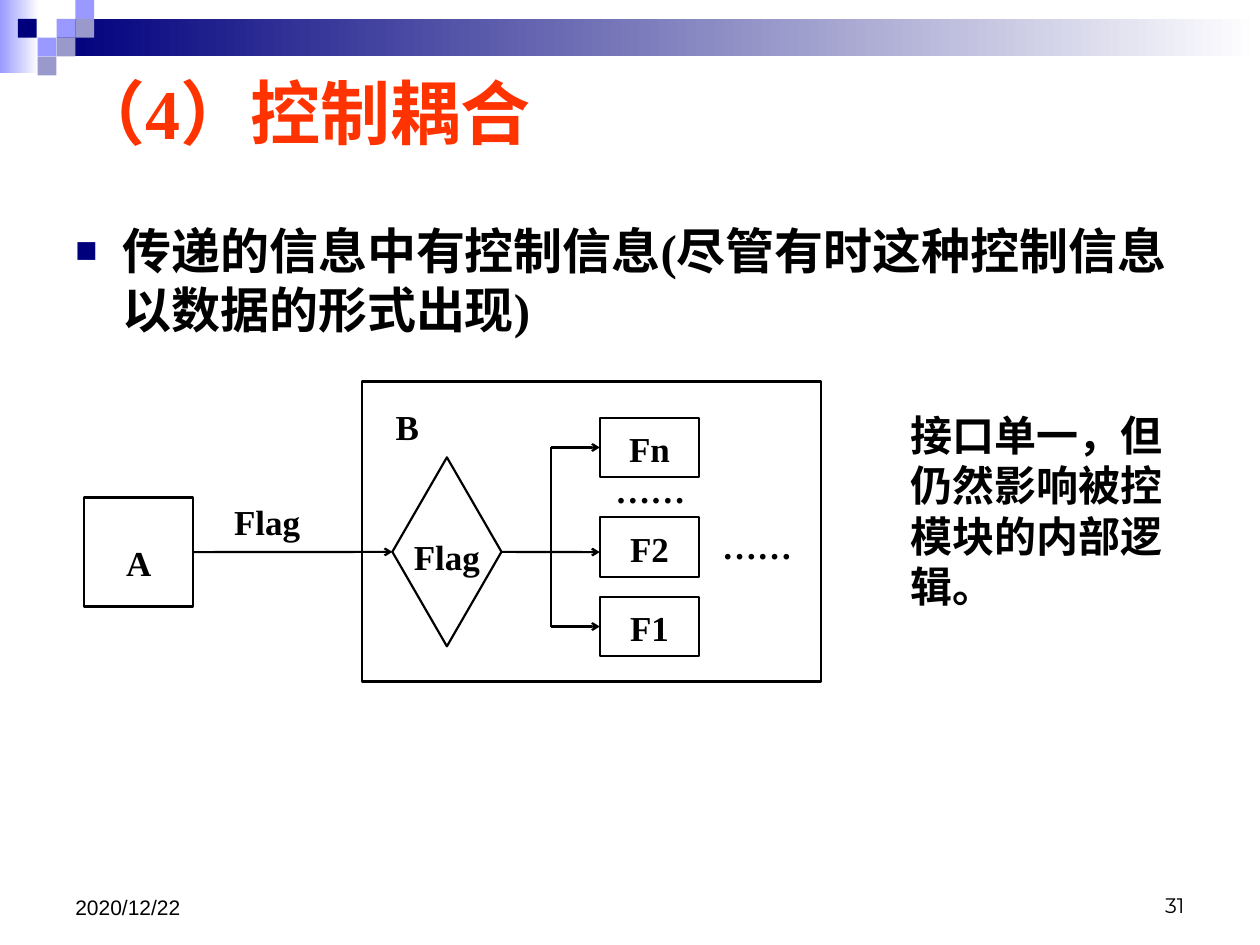
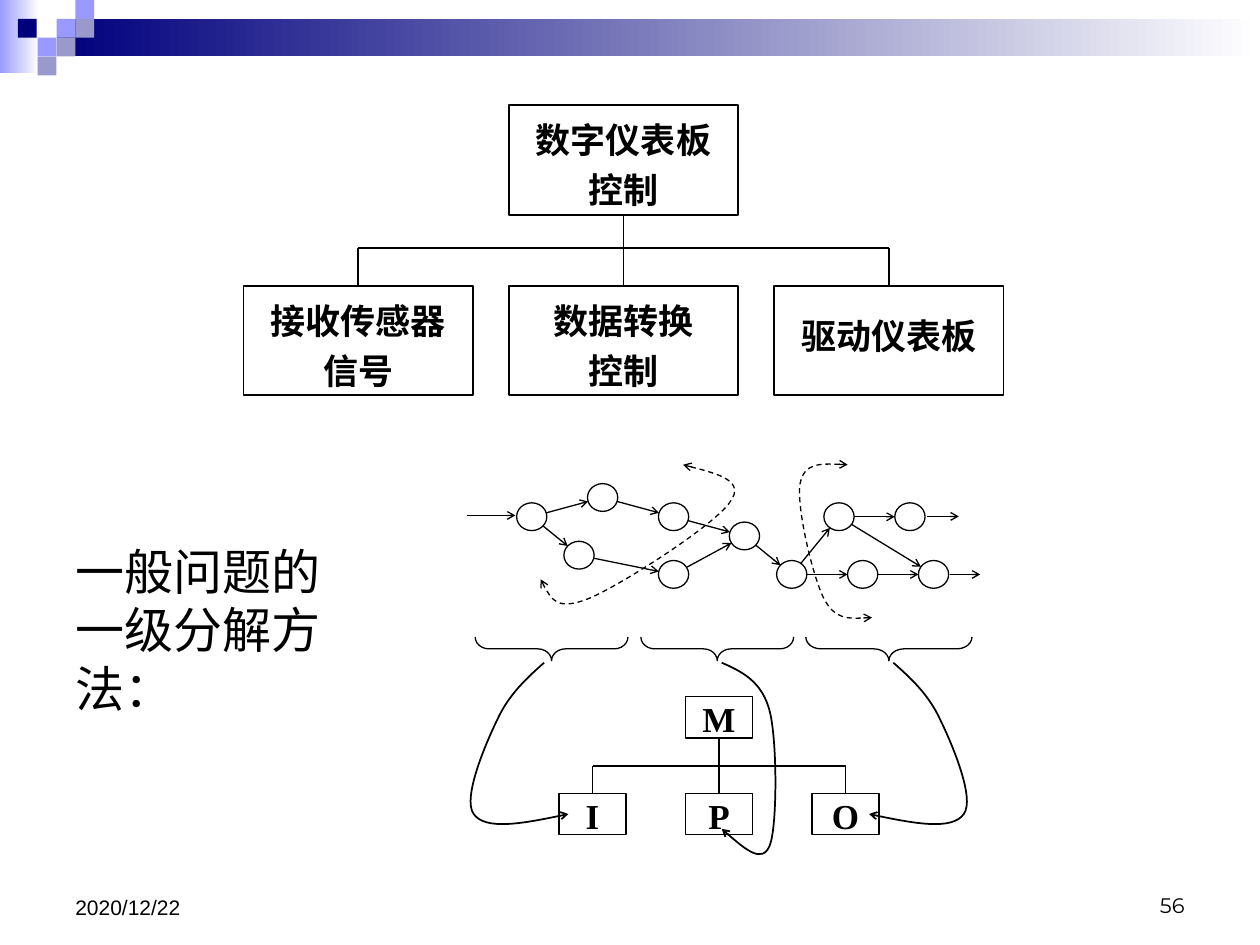
from math import hypot
from lxml import etree
from pptx import Presentation
from pptx.dml.color import RGBColor
from pptx.enum.dml import MSO_LINE
from pptx.enum.shapes import MSO_CONNECTOR, MSO_SHAPE
from pptx.enum.text import MSO_ANCHOR, PP_ALIGN
from pptx.oxml.ns import qn
from pptx.util import Cm, Pt

RECT, OVAL = MSO_SHAPE.RECTANGLE, MSO_SHAPE.OVAL
DIAMOND, BRACE = MSO_SHAPE.DIAMOND, MSO_SHAPE.LEFT_BRACE
STRAIGHT, DASH = MSO_CONNECTOR.STRAIGHT, MSO_LINE.DASH
LEFT, MID, RIGHT, JUST = PP_ALIGN.LEFT, PP_ALIGN.CENTER, PP_ALIGN.RIGHT, PP_ALIGN.JUSTIFY
TOP, MIDDLE, BOTTOM = MSO_ANCHOR.TOP, MSO_ANCHOR.MIDDLE, MSO_ANCHOR.BOTTOM


class Theme:
    black = RGBColor(0x00, 0x00, 0x00)
    white = RGBColor(0xFF, 0xFF, 0xFF)
    red = RGBColor(0xFF, 0x33, 0x00)
    navy = RGBColor(0x00, 0x00, 0x7D)
    lilac = RGBColor(0x99, 0x99, 0xFF)
    slate = RGBColor(0x99, 0x99, 0xCC)
    serif, sans, digit = "Times New Roman", "Arial", "Montserrat"
    title, body, note, label, foot = 40, 28, 24, 20, 12
    bold, thin, fine = 1.25, 1, 0.75
    tip = dict(type="arrow", w="sm", len="sm")


def box(slide, at, text="", kind=RECT, fill=None, line=None, size=Theme.label,
        font=Theme.serif, bold=True, align=MID, anchor=TOP, gap=None,
        inset=(0.25, 0.13, 0.25, 0.13)):
    """Add a shape, with text if there is any; lengths are in centimetres."""
    if text and fill is None and line is None:
        shape = slide.shapes.add_textbox(*map(Cm, at))
    else:
        shape = slide.shapes.add_shape(kind, *map(Cm, at))
        shape.shadow.inherit = False
    if fill is None:
        shape.fill.background()
    else:
        shape.fill.solid()
        shape.fill.fore_color.rgb = fill
    if line is None:
        shape.line.fill.background()
    else:
        shape.line.color.rgb = Theme.black
        shape.line.width = Pt(line)
    if text:
        frame = shape.text_frame
        frame.text = text
        frame.word_wrap = True
        frame.vertical_anchor = anchor
        (frame.margin_left, frame.margin_top,
         frame.margin_right, frame.margin_bottom) = map(Cm, inset)
        for para in frame.paragraphs:
            para.alignment = align
            para.line_spacing = gap
            for run in para.runs:
                run.font.name, run.font.size = font, Pt(size)
                run.font.bold, run.font.color.rgb = bold, Theme.black
    return shape


def link(slide, start, end, width, arrow=False, tie=None, goal=None):
    """Draw a line; tie and goal are (shape, side) pairs to join."""
    line = slide.shapes.add_connector(STRAIGHT, *map(Cm, (*start, *end)))
    line.line.color.rgb = Theme.black
    line.line.width = Pt(width)
    if tie:
        line.begin_connect(*tie)
    if goal:
        line.end_connect(*goal)
    if arrow:
        etree.SubElement(line.line._get_or_add_ln(), qn("a:tailEnd"), **Theme.tip)
    etree.SubElement(line._element.spPr, qn("a:effectLst"))


deck = Presentation()
deck.slide_width, deck.slide_height = Cm(25.4), Cm(19.05)
first = deck.slides.add_slide(deck.slide_layouts[5])
second = deck.slides.add_slide(deck.slide_layouts[6])

# Shared band, squares and footer
cell = 0.38
tiles = [(3, 1, Theme.lilac), (4, 0, Theme.lilac), (4, 1, Theme.slate),
         (2, 2, Theme.lilac), (0.95, 1, Theme.navy), (3, 2, Theme.slate),
         (2, 3, Theme.slate)]
for slide, number in ((first, "31"), (second, "56")):
    for at, color in (((0, 0, 0.79, 1.47), Theme.lilac),
                      ((1.14, 0.38, 24.26, 0.76), Theme.navy)):
        band = box(slide, at)
        band.fill.gradient()
        band.fill.gradient_angle = 0
        stops = band.fill.gradient_stops
        stops[0].color.rgb, stops[1].color.rgb = color, Theme.white
    for col, row, color in tiles:
        box(slide, (col * cell, row * cell, cell, cell), fill=color)
    box(slide, (18.21, 17.36, 5.92, 1.27), number, size=Theme.foot,
        font=Theme.digit, bold=False, align=RIGHT, anchor=BOTTOM)
    box(slide, (1.27, 17.35, 5.92, 1.32), "2020/12/22", size=Theme.foot,
        font=Theme.sans, bold=False, align=LEFT, anchor=BOTTOM)

# Slide 1: title
title = first.shapes.title
title.left, title.top, title.width, title.height = map(Cm, (1.27, 1.12, 22.86, 2.26))
title.text_frame.text = "（4）控制耦合"
title.text_frame.vertical_anchor = MIDDLE
para = title.text_frame.paragraphs[0]
para.alignment = LEFT
font = para.runs[0].font
font.name, font.size, font.bold = Theme.serif, Pt(Theme.title), True
font.color.rgb = Theme.red

# Slide 1: bullet and side note
body = box(first, (1.27, 4.32, 22.83, 2.62),
           "传递的信息中有控制信息(尽管有时这种控制信息以数据的形式出现)",
           fill=Theme.white, size=Theme.body, align=LEFT)
props = body.text_frame.paragraphs[0]._p.get_or_add_pPr()
props.set("marL", str(Cm(0.95)))
props.set("indent", str(-Cm(0.95)))
tint = etree.SubElement(props, qn("a:buClr"))
etree.SubElement(tint, qn("a:srgbClr"), val=str(Theme.navy))
etree.SubElement(props, qn("a:buSzPct"), val="75000")
etree.SubElement(props, qn("a:buFont"), typeface=Theme.sans)
etree.SubElement(props, qn("a:buChar"), char="■")
box(first, (18.11, 8.12, 5.72, 4.32), "接口单一，但仍然影响被控模块的内部逻辑。",
    size=Theme.note, align=LEFT)

# Slide 1: modules A and B
flat, slim = (0.25, 0.03, 0.25, 0.03), (0.05, 0.03, 0.05, 0.03)
caller = box(first, (1.7, 10.03, 2.2, 2.2), "A", fill=Theme.white,
             line=Theme.bold, gap=2, inset=(0.25, 0.03, 0.25, 0.13))
box(first, (7.31, 7.13, 1.8, 2.01), "B", gap=2.2, inset=slim)
test = box(first, (7.91, 9.22, 2.2, 3.81), kind=DIAMOND, line=Theme.bold)
box(first, (7.91, 10.52, 2.2, 1.45), "Flag", gap=1.3, inset=(0.15, 0.03, 0.15, 0.03))
bus, port, axis = 11.11, 12.09, 11.13
for name, top in (("F2", 10.43), ("F1", 12.03), ("Fn", 8.42)):
    part = box(first, (port, top, 2.01, 1.2), name, fill=Theme.white,
               line=Theme.bold, gap=1.2, inset=flat)
    if name == "F2":
        link(first, (10.11, axis), (port, axis), Theme.bold, True, tie=(test, 3))
    else:
        mid = top + 0.6
        link(first, (bus, mid), (port, mid), Theme.bold, True, goal=(part, 1))
link(first, (bus, 9.02), (bus, 12.64), Theme.bold)
box(first, (12.11, 9.41, 2.01, 1.09), "……", inset=slim)
box(first, (14.31, 10.44, 2.97, 1.65), "……", align=JUST)
box(first, (7.3, 7.69, 9.25, 6.05), line=Theme.bold)
link(first, (3.9, axis), (7.91, axis), Theme.bold, True, (caller, 3), (test, 1))
box(first, (4.67, 9.73, 1.8, 1.4), "Flag", align=JUST, gap=1.4, inset=slim)

# Slide 2: caption
box(second, (1.27, 10.78, 5.72, 3.35), "一般问题的一级分解方法：",
    size=Theme.body, bold=False, align=LEFT)

# Slide 2: the two module trees
pad, low = (0.05, 0.1, 0.05, 0.1), (0.05, 0.41, 0.05, 0.1)
trees = [
    (4.91, 5.35, 4.62, 2.21, 2.12, 5.0, 5.76, Theme.thin, 1.2, "数字仪表板\n控制",
     (("接收传感器\n信号", pad), ("数据转换\n控制", pad), ("驱动仪表板", low))),
    (11.27, 2.55, 1.35, 0.84, 14.04, 15.44, 15.99, Theme.fine, None, "M",
     (("I", slim), ("P", slim), ("O", slim))),
]
for left, step, wide, high, top, bar, base, width, gap, head, kids in trees:
    root = box(second, (left + step, top, wide, high), head, line=width,
               gap=gap, inset=kids[0][1])
    for col, (text, inset) in enumerate(kids):
        x = left + col * step
        kid = box(second, (x, base, wide, high), text, line=width, gap=gap, inset=inset)
        mid = x + wide / 2
        link(second, (mid, bar), (mid, base), width,
             tie=(root, 2) if col == 1 else None, goal=(kid, 0))
    mid = left + wide / 2
    link(second, (mid, bar), (mid + 2 * step, bar), width)

# Slide 2: data flow nodes on a fine grid
grid = dict(a=(0, 1), b=(3, 0), c=(2, 3), d=(6, 1), e=(6, 4), f=(9, 2),
            g=(11, 4), h=(13, 1), i=(14, 4), j=(16, 1), k=(17, 4))
nodes = {key: (10.72 + col * 8.1 / 17, 10.03 + row * 1.55 / 4)
         for key, (col, row) in grid.items()}
wide, high = 0.61, 0.56
for x, y in nodes.values():
    box(second, (x - wide / 2, y - high / 2, wide, high), kind=OVAL, line=Theme.fine)

# Slide 2: data flow arrows, cut off at the rims of the nodes
for tail, head in "ab ac bd ce df ef fg gh gi hj ik hk".split():
    (x1, y1), (x2, y2) = nodes[tail], nodes[head]
    cut = 1 / hypot((x2 - x1) / (wide / 2), (y2 - y1) / (high / 2))
    dx, dy = (x2 - x1) * cut, (y2 - y1) * cut
    link(second, (x1 + dx, y1 + dy), (x2 - dx, y2 - dy), Theme.fine, True)
for start, end in (((9.42, 10.39), (10.39, 10.39)), ((18.69, 10.41), (19.33, 10.41)),
                   ((19.15, 11.58), (19.76, 11.58))):
    link(second, start, end, Theme.fine, True)

# Slide 2: braces
for mid, span, bend in ((11.12, 3.08, 0.58), (14.46, 3.08, 0.58), (17.92, 3.35, 0.63)):
    brace = box(second, (mid - 0.24, 13.08 - span / 2, 0.48, span),
                kind=BRACE, line=Theme.fine)
    brace.rotation = 270
    brace.adjustments[0] = bend

# Slide 2: dashed borders and curved arrows, as Bezier chains
inward = [(10.97, 13.36), (10.62, 13.67), (10.26, 14), (10.03, 14.5), (9.78, 15.01),
          (9.32, 16.1), (9.55, 16.41), (9.78, 16.74), (10.62, 16.59), (11.46, 16.41)]
outward = [(28.98 - x, y) for x, y in inward]
centre = [(14.55, 13.36), (14.96, 13.54), (15.37, 13.74), (15.52, 14.35), (15.67, 14.96),
          (15.67, 16.64), (15.52, 17.04), (15.37, 17.42), (14.96, 17.07), (14.55, 16.71)]
border = [(13.77, 9.37), (14.4, 9.53), (15.04, 9.7), (14.71, 10.13), (14.4, 10.59),
          (12.5, 11.81), (11.86, 12.07), (11.23, 12.32), (11.05, 11.99), (10.9, 11.68)]
limit = [(17.09, 9.37), (16.66, 9.35), (16.21, 9.32), (16.13, 9.75), (16.05, 10.21),
         (16.38, 11.61), (16.61, 12.07), (16.84, 12.5), (17.22, 12.47), (17.58, 12.45)]
for chain, dashed in ((border, True), (limit, True), (inward, False),
                      (outward, False), (centre, False)):
    pen = second.shapes.build_freeform(*map(Cm, chain[0]))
    pen.add_line_segments([tuple(map(Cm, dot)) for dot in chain[1:]], close=False)
    curve = pen.convert_to_shape()
    # Turn each three straight steps into one cubic step
    steps = list(curve._element.iter(qn("a:lnTo")))
    track = steps[0].getparent()
    for at in range(0, len(steps), 3):
        cubic = etree.SubElement(track, qn("a:cubicBezTo"))
        for step in steps[at:at + 3]:
            cubic.append(step[0])
            track.remove(step)
    curve.shadow.inherit = False
    curve.fill.background()
    curve.line.color.rgb = Theme.black
    curve.line.width = Pt(Theme.fine if dashed else Theme.thin)
    if dashed:
        curve.line.dash_style = DASH
    for end in ("a:headEnd", "a:tailEnd") if dashed else ("a:tailEnd",):
        etree.SubElement(curve.line._get_or_add_ln(), qn(end), **Theme.tip)

deck.save("out.pptx")
